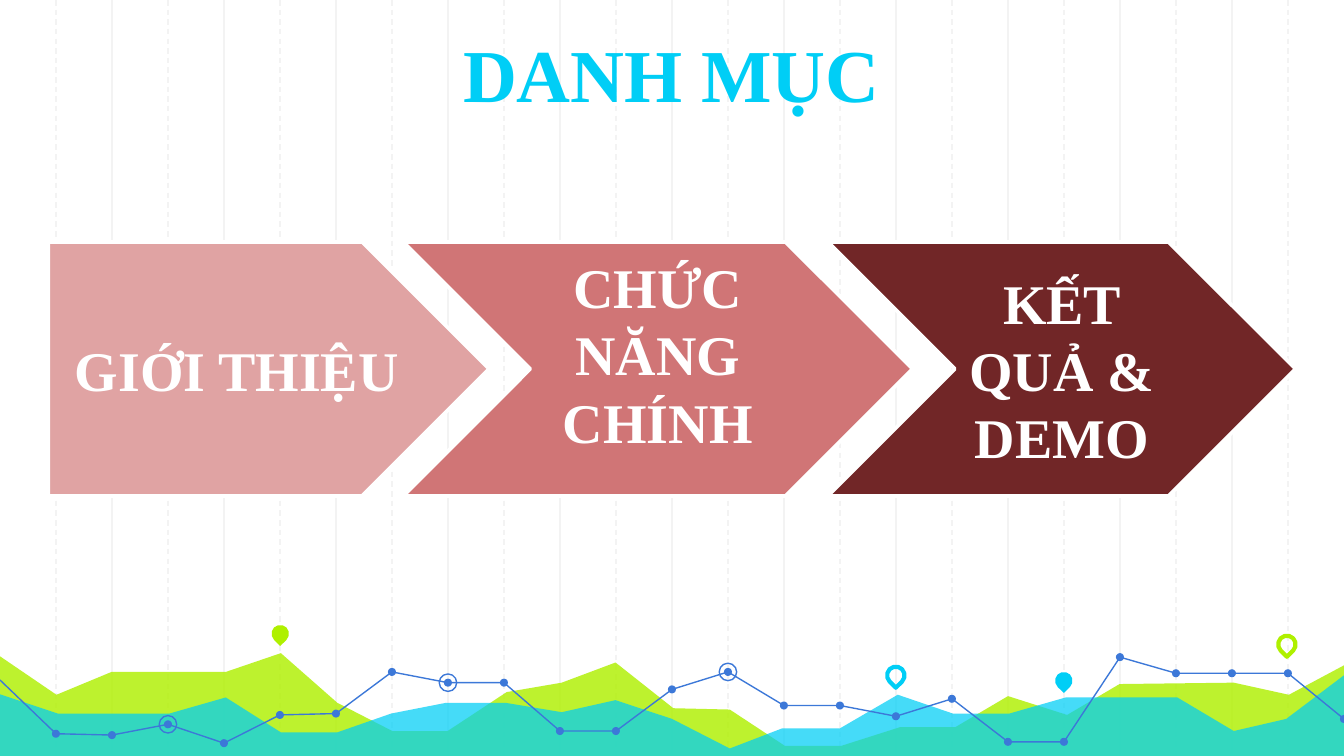
from dataclasses import dataclass
from typing import Optional

from lxml import etree
from pptx import Presentation
from pptx.dml.color import RGBColor
from pptx.enum import dml, shapes, text
from pptx.oxml.ns import qn
from pptx.util import Inches, Pt

Point = tuple[float, float]


@dataclass(frozen=True)
class Theme:
    font: str = "Times New Roman"
    title_size: int = 40
    step_size: int = 30
    white: str = "FFFFFF"
    grid: str = "F3F3F3"
    lime: str = "AFF000"
    cyan: str = "00CEF6"
    blue: str = "3C78D8"
    rose: str = "E0A3A3"
    coral: str = "D07576"
    maroon: str = "712627"


@dataclass(frozen=True)
class Step:
    label: str
    preset: shapes.MSO_SHAPE
    left: float
    width: float
    color: str
    bottom_inset: float = 0.05


@dataclass(frozen=True)
class Area:
    color: str
    opacity: int
    points: list[Point]


@dataclass(frozen=True)
class Pin:
    left: float
    top: float
    color: str
    hollow: bool


THEME = Theme()
WIDTH = 10
HEIGHT = WIDTH * 9 / 16
COLUMN = WIDTH / 24
DOT, MARK = 0.06, 0.13
STEP_TOP, STEP_HEIGHT = 1.8, 1.89

STEPS = [
    Step("GIỚI THIỆU", shapes.MSO_SHAPE.PENTAGON, 0.36, 3.28, THEME.rose),
    Step("CHỨC NĂNG CHÍNH", shapes.MSO_SHAPE.CHEVRON, 3, 3.79, THEME.coral, 0.28),
    Step("KẾT QUẢ & DEMO", shapes.MSO_SHAPE.CHEVRON, 6.16, 3.48, THEME.maroon),
]
AREAS = [
    Area(THEME.lime, 82, [
        (-0.02, 4.87), (0.42, 5.17), (0.83, 5), (1.68, 5), (2.09, 4.86), (2.51, 5.23),
        (2.92, 5.44), (3.33, 5.44), (3.77, 5.15), (4.18, 5.08), (4.58, 4.93), (5.01, 5.27),
        (5.43, 5.28), (5.84, 5.55), (6.26, 5.55), (6.7, 5.41), (7.11, 5.41), (7.5, 5.18),
        (7.94, 5.32), (8.33, 5.09), (9.18, 5.08), (9.59, 5.17), (10.02, 4.94),
        (10.01, 5.64), (-0.03, 5.64)]),
    Area(THEME.cyan, 73, [
        (-0.02, 5.16), (0.43, 5.31), (1.26, 5.31), (1.68, 5.19), (2.09, 5.45), (2.51, 5.45),
        (2.91, 5.31), (3.32, 5.23), (3.76, 5.23), (4.18, 5.3), (4.58, 5.21), (5, 5.35),
        (5.43, 5.57), (5.82, 5.42), (6.25, 5.42), (6.68, 5.17), (7.09, 5.31), (7.51, 5.31),
        (7.93, 5.19), (8.76, 5.19), (9.18, 5.44), (9.57, 5.35), (10.02, 5.01),
        (10.02, 5.65), (-0.03, 5.65)]),
]
PINS = [
    Pin(2.02, 4.65, THEME.lime, False),
    Pin(6.6, 4.96, THEME.cyan, True),
    Pin(7.85, 5, THEME.cyan, False),
    Pin(9.51, 4.73, THEME.lime, True),
]
TREND_HEIGHTS = [
    5.06, 5.46, 5.47, 5.39, 5.53, 5.32, 5.31, 5, 5.08, 5.08, 5.44, 5.44, 5.13,
    5, 5.25, 5.25, 5.33, 5.2, 5.52, 5.52, 4.89, 5.01, 5.01, 5.01, 5.35,
]
TREND = [(column * COLUMN, y) for column, y in enumerate(TREND_HEIGHTS)]
TREND_BREAKS = [0, 11, 20, 24]
RINGED_COLUMNS = [3, 8, 13]


def rgb(value: str) -> RGBColor:
    return RGBColor.from_string(value)


def paint(shape, fill: Optional[str] = None, line: Optional[str] = None,
          line_width: float = 0.75) -> None:
    shape.shadow.inherit = False
    if fill:
        shape.fill.solid()
        shape.fill.fore_color.rgb = rgb(fill)
    else:
        shape.fill.background()
    if line:
        shape.line.color.rgb = rgb(line)
        shape.line.width = Pt(line_width)
    else:
        shape.line.fill.background()


def write(frame, words: str, size: int, color: str) -> None:
    frame.word_wrap = True
    frame.text = words
    paragraph = frame.paragraphs[0]
    paragraph.alignment = text.PP_ALIGN.CENTER
    font = paragraph.runs[0].font
    font.name, font.size, font.bold = THEME.font, Pt(size), True
    font.color.rgb = rgb(color)


def draw_grid_line(slide, column: int) -> None:
    x = Inches(column * COLUMN)
    line = slide.shapes.add_connector(shapes.MSO_CONNECTOR.STRAIGHT, x, 0, x, Inches(5.65))
    line.line.color.rgb = rgb(THEME.grid)
    line.line.width = Pt(0.75)
    if column % 2:
        line.line.dash_style = dml.MSO_LINE.DASH
    etree.SubElement(line._element.spPr, qn("a:effectLst"))


def draw_outline(slide, points: list[Point], closed: bool):
    corners = [(Inches(x), Inches(y)) for x, y in points]
    builder = slide.shapes.build_freeform(*corners[0])
    builder.add_line_segments(corners[1:], close=closed)
    return builder.convert_to_shape()


def draw_area(slide, area: Area) -> None:
    shape = draw_outline(slide, area.points, closed=True)
    paint(shape, fill=area.color)
    color = shape._element.spPr.find(qn("a:solidFill")).find(qn("a:srgbClr"))
    etree.SubElement(color, qn("a:alpha"), val=str(area.opacity * 1000))


def draw_pin(slide, pin: Pin) -> None:
    shape = slide.shapes.add_shape(shapes.MSO_SHAPE.TEAR, Inches(pin.left), Inches(pin.top),
                                   Inches(MARK), Inches(MARK))
    shape.rotation = 135
    if pin.hollow:
        paint(shape, line=pin.color, line_width=2.25)
    else:
        paint(shape, fill=pin.color)


def draw_circle(slide, center: Point, size: float, **colors: str) -> None:
    x, y = center
    circle = slide.shapes.add_shape(shapes.MSO_SHAPE.OVAL, Inches(x - size / 2),
                                    Inches(y - size / 2), Inches(size), Inches(size))
    paint(circle, **colors)


def draw_trend(slide) -> None:
    for first, last in zip(TREND_BREAKS, TREND_BREAKS[1:]):
        paint(draw_outline(slide, TREND[first:last + 1], closed=False), line=THEME.blue)
    for point in TREND[1:]:
        draw_circle(slide, point, DOT, fill=THEME.blue)
    for column in RINGED_COLUMNS:
        draw_circle(slide, TREND[column], MARK, line=THEME.blue)


def draw_title(slide) -> None:
    title = slide.shapes.add_textbox(Inches(1.17), Inches(0.19), Inches(7.65), Inches(0.78))
    frame = title.text_frame
    frame.margin_top = frame.margin_bottom = Inches(0.1)
    frame.vertical_anchor = text.MSO_ANCHOR.BOTTOM
    write(frame, "DANH MỤC", THEME.title_size, THEME.cyan)


def draw_step(slide, step: Step) -> None:
    arrow = slide.shapes.add_shape(step.preset, Inches(step.left), Inches(STEP_TOP),
                                   Inches(step.width), Inches(STEP_HEIGHT))
    paint(arrow, fill=step.color, line=THEME.white, line_width=2)
    frame = arrow.text_frame
    frame.margin_bottom = Inches(step.bottom_inset)
    frame.vertical_anchor = text.MSO_ANCHOR.MIDDLE
    write(frame, step.label, THEME.step_size, THEME.white)


def main() -> None:
    deck = Presentation()
    deck.slide_width, deck.slide_height = Inches(WIDTH), Inches(HEIGHT)
    slide = deck.slides.add_slide(deck.slide_layouts[6])
    for column in [*range(2, 24, 2), *range(1, 24, 2)]:
        draw_grid_line(slide, column)
    for area in AREAS:
        draw_area(slide, area)
    draw_trend(slide)
    for pin in PINS:
        draw_pin(slide, pin)
    draw_title(slide)
    for step in STEPS:
        draw_step(slide, step)
    deck.save("out.pptx")


if __name__ == "__main__":
    main()
